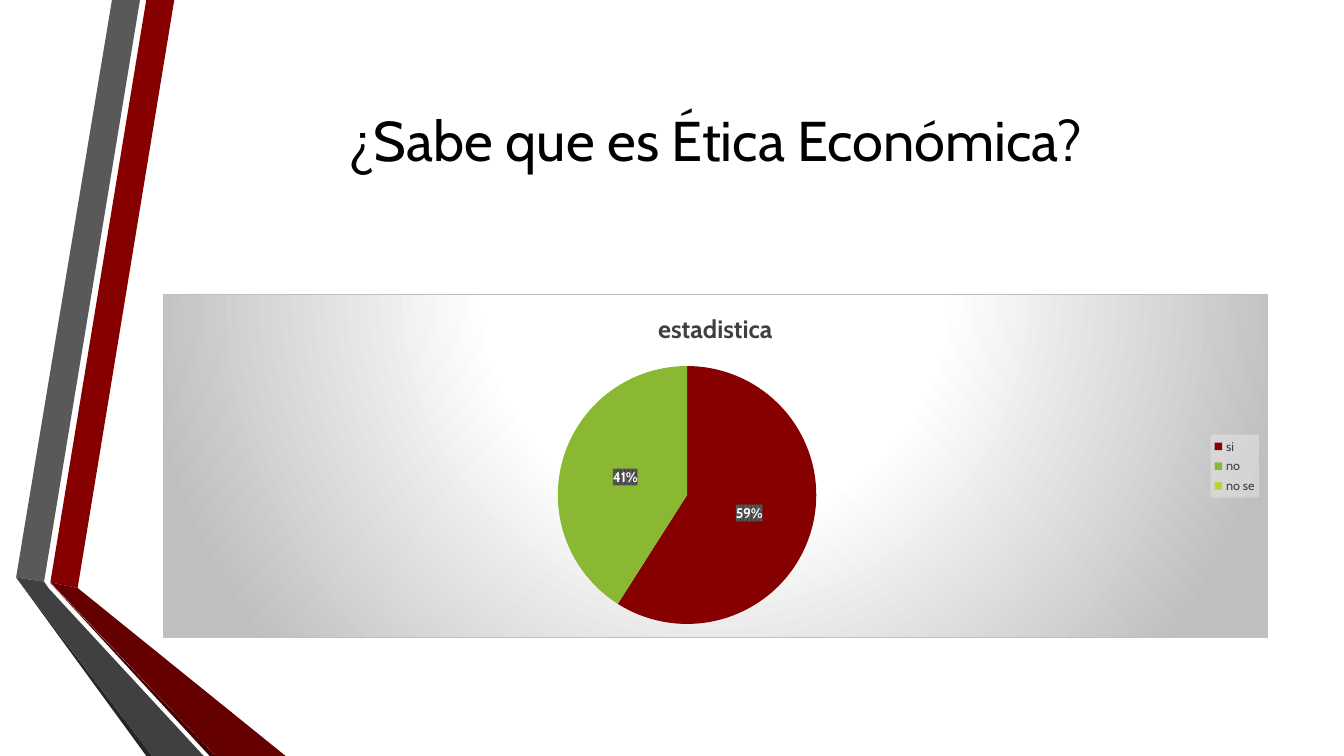
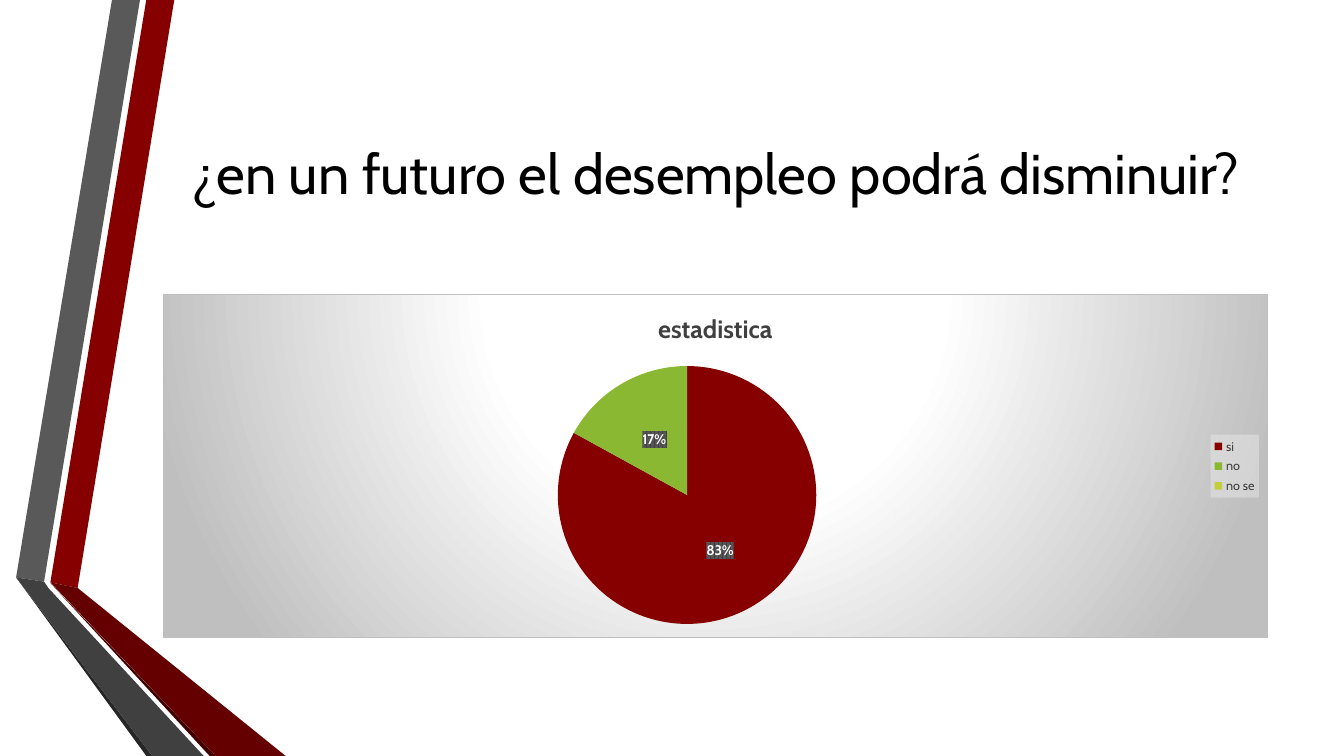
from lxml import etree
from pptx import Presentation
from pptx.chart.data import CategoryChartData
from pptx.dml.color import RGBColor
from pptx.enum.chart import XL_CHART_TYPE as ChartType
from pptx.enum.chart import XL_LABEL_POSITION as LabelPos
from pptx.enum.chart import XL_LEGEND_POSITION as LegendPos
from pptx.enum.text import MSO_ANCHOR as Anchor
from pptx.enum.text import MSO_AUTO_SIZE as AutoSize
from pptx.enum.text import PP_ALIGN as Align
from pptx.oxml import parse_xml
from pptx.oxml.ns import nsdecls, qn
from pptx.util import Pt

FONT = "Cabin"
COLORS = {
    "black": "000000",
    "white": "FFFFFF",
    "text": "404040",
    "red": "860000",
    "red_dark": "650000",
    "red_edge": "430000",
    "gray": "595959",
    "gray_dark": "404040",
    "gray_edge": "262626",
    "border": "BFBFBF",
    "legend": "F2F2F2",
    "green": "8AB833",
    "lime": "C0CF3A",
}
SLICES = {"si": "red", "no": "green", "no se": "lime"}
LEFT, WIDTH = 116.5, 789

# Folded ribbons on the left edge: colour and corner points
RIBBONS = [
    ("red", [(36, 416), (55.5, 420), (124.5, 0), (104.5, 0)]),
    ("gray", [(100, 0), (80, 0), (11.5, 412.5), (31.5, 415.5)]),
    ("gray_edge", [(11.5, 412.5), (104.5, 540), (108.75, 540)]),
    ("red_edge", [(36, 416.5), (149.75, 540), (154, 540)]),
    ("red_dark", [(36, 416), (154, 540), (204, 540), (55.5, 420)]),
    ("gray_dark", [(145.5, 540), (34.5, 420), (31.5, 415.5),
                   (11.5, 412.5), (108.75, 540)]),
]
QUESTIONS = [
    # title, answers in percent, extra space below the title
    ("¿Sabe que es Ética Económica?", (59, 41, 0), 47),
    ("¿en un futuro el desempleo podrá disminuir?", (83, 17, 0), 0),
]


def rgb(name):
    return RGBColor.from_string(COLORS[name])


def set_font(font, size, color, bold=False):
    font.name, font.size, font.bold = FONT, Pt(size), bold
    font.color.rgb = rgb(color)


def write(tf, text, size=40, color="black", bold=False, align=Align.CENTER):
    p = tf.paragraphs[0]
    p.alignment = align
    r = p.add_run()
    r.text = text
    set_font(r.font, size, color, bold)


def clr(name, inner=""):
    return f'<a:srgbClr val="{COLORS[name]}">{inner}</a:srgbClr>'


def set_chart_fill(part, fill, line="<a:ln><a:noFill/></a:ln>"):
    """Fill a chart part whose font is already set: spPr goes before txPr."""
    xml = f'<c:spPr {nsdecls("c", "a")}>{fill}{line}</c:spPr>'
    part.find(qn("c:txPr")).addprevious(parse_xml(xml))


class Deck:
    def __init__(self):
        self.prs = Presentation()
        self.prs.slide_width, self.prs.slide_height = Pt(960), Pt(540)
        self.layout = self.prs.slide_layouts.get_by_name("Title Only")
        self.slide = None

    def add_slide(self):
        self.slide = self.prs.slides.add_slide(self.layout)

    def ribbons(self):
        """Draw the ribbons and hand them to the layout, for all slides."""
        for i, (color, points) in enumerate(RIBBONS):
            corners = [(Pt(x), Pt(y)) for x, y in points]
            builder = self.slide.shapes.build_freeform(*corners[0])
            builder.add_line_segments(corners[1:], close=True)
            sp = builder.convert_to_shape()
            sp.name = f"Ribbon {i + 1}"
            sp.shadow.inherit = False
            sp.fill.solid()
            sp.fill.fore_color.rgb = rgb(color)
            sp.line.fill.background()
            el = sp._element
            el.nvSpPr.cNvPr.set("id", str(100 + i))
            self.layout.shapes._spTree.append(el)

    def title(self, text, space_below):
        sp = self.slide.shapes.title
        sp.left, sp.top, sp.width, sp.height = map(Pt, (LEFT, 54, WIDTH, 138))
        tf = sp.text_frame
        tf.word_wrap, tf.auto_size = True, AutoSize.NONE
        tf.vertical_anchor = Anchor.MIDDLE
        tf.margin_bottom = Pt(3.6 + space_below)
        write(tf, text)

    def pie(self, name, values):
        data = CategoryChartData()
        data.categories = list(SLICES)
        data.add_series(name, values)
        box = map(Pt, (LEFT, 210, WIDTH, 246))
        chart = self.slide.shapes.add_chart(ChartType.PIE, *box, data).chart
        set_font(chart.font, 10, "black")
        set_chart_fill(
            chart._chartSpace,
            '<a:gradFill><a:gsLst>'
            f'<a:gs pos="0">{clr("white")}</a:gs>'
            f'<a:gs pos="39000">{clr("white")}</a:gs>'
            f'<a:gs pos="100000">{clr("border")}</a:gs></a:gsLst>'
            '<a:path path="circle"><a:fillToRect l="50000" t="-80000" '
            'r="50000" b="180000"/></a:path></a:gradFill>',
            f'<a:ln w="{Pt(0.75)}"><a:solidFill>{clr("border")}'
            '</a:solidFill></a:ln>')
        chart.has_title = True
        write(chart.chart_title.text_frame, name, size=18, color="text",
              bold=True)
        chart.chart_title.include_in_layout = False
        self.legend(chart)
        plot = chart.plots[0]
        plot.vary_by_categories = True
        series = plot.series[0]
        for i, color in enumerate(SLICES.values()):
            fmt = series.points[i].format
            fmt.fill.solid()
            fmt.fill.fore_color.rgb = rgb(color)
            fmt.line.fill.background()
        self.labels(series, values)

    def legend(self, chart):
        chart.has_legend = True
        legend = chart.legend
        legend.position = LegendPos.RIGHT
        legend.include_in_layout = False
        set_font(legend.font, 9, "text")
        pale = clr("legend", '<a:alpha val="39000"/>')
        set_chart_fill(legend._element, f"<a:solidFill>{pale}</a:solidFill>")

    def labels(self, series, values):
        """Show percentages, leaving out empty slices."""
        labels = series.data_labels
        labels.show_value, labels.show_percentage = False, True
        labels.number_format, labels.number_format_is_linked = "0%", False
        labels.position = LabelPos.CENTER
        set_font(labels.font, 10, "white", bold=True)
        el = labels._element
        set_chart_fill(
            el, f'<a:pattFill prst="pct75"><a:fgClr>{clr("gray_dark")}'
            f'</a:fgClr><a:bgClr>{clr("gray")}</a:bgClr></a:pattFill>')
        empty = [i for i, value in enumerate(values) if not value]
        for pos, i in enumerate(empty):
            hidden = etree.Element(qn("c:dLbl"))
            etree.SubElement(hidden, qn("c:idx"), val=str(i))
            etree.SubElement(hidden, qn("c:delete"), val="1")
            el.insert(pos, hidden)


def main():
    deck = Deck()
    for i, (question, answers, space_below) in enumerate(QUESTIONS):
        deck.add_slide()
        if i == 0:
            deck.ribbons()
        deck.title(question, space_below)
        deck.pie("estadistica", answers)
    deck.prs.save("out.pptx")


if __name__ == "__main__":
    main()
